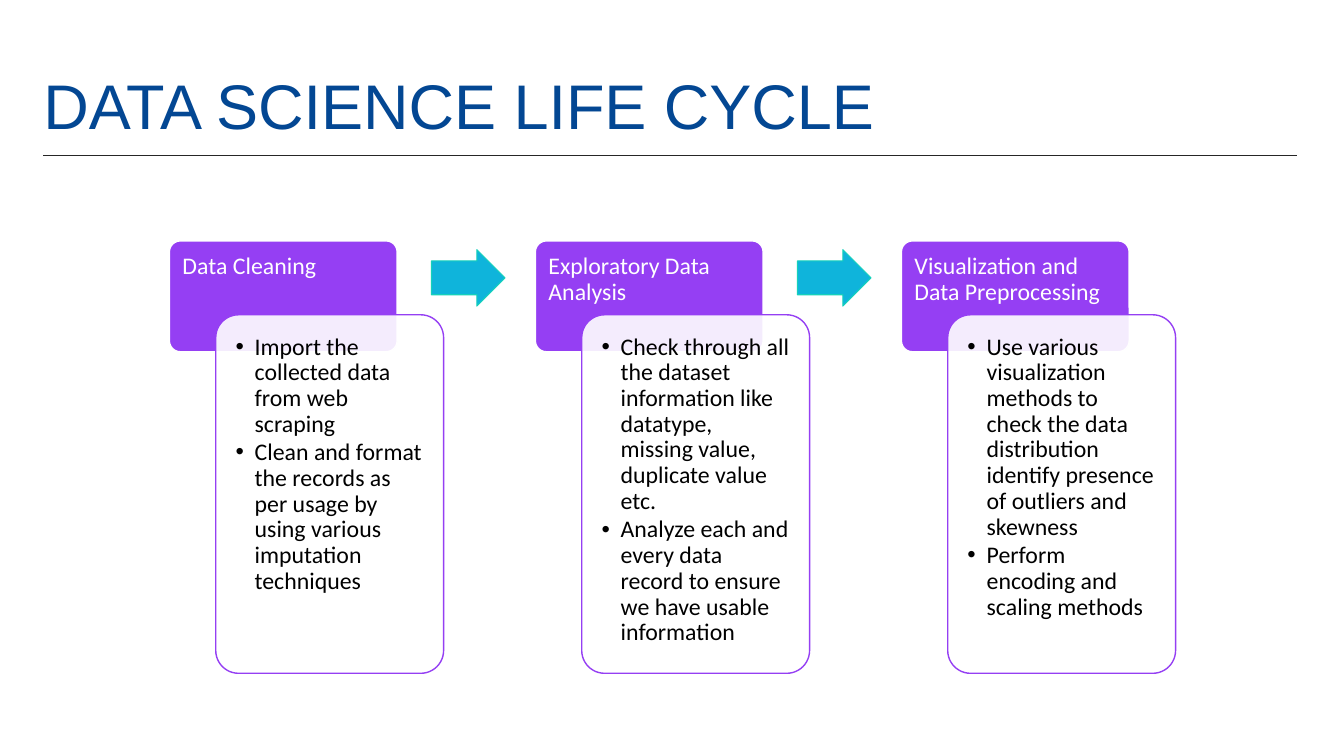
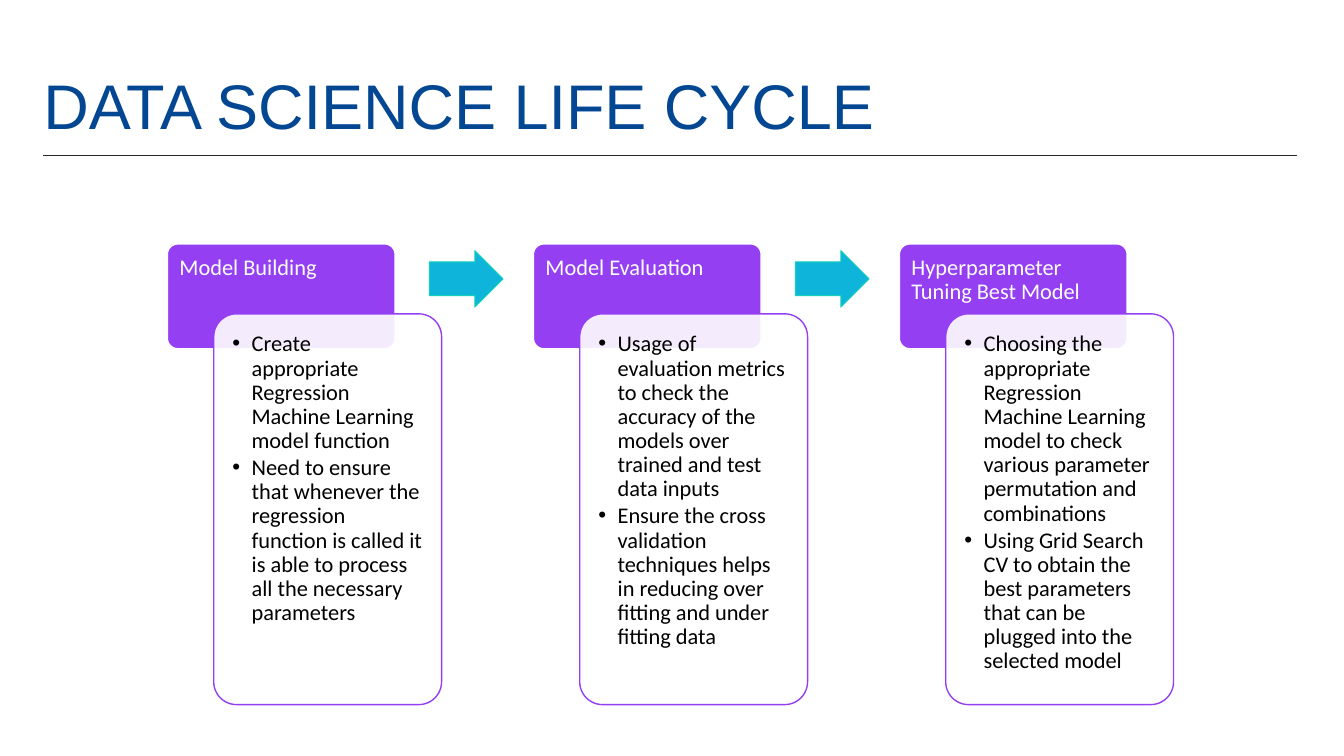
from dataclasses import dataclass

from lxml import etree
from pptx import Presentation
from pptx.dml import color
from pptx.enum import shapes, text
from pptx.oxml import ns
from pptx.util import Inches, Pt


@dataclass(frozen=True)
class Theme:
    title_color: str = "034793"
    rule_color: str = "262626"
    purple: str = "953FF3"
    arrow_fill: str = "0FB4DB"
    arrow_line: str = "15D1BB"
    white: str = "FFFFFF"
    black: str = "000000"
    title_font: str = "Arial"
    body_font: str = "Calibri"
    title_size: float = 45
    line_spacing: float = 0.9


@dataclass(frozen=True)
class Box:
    left: float
    top: float
    width: float
    height: float

    def lengths(self):
        return [Inches(n) for n in (self.left, self.top, self.width, self.height)]


THEME = Theme()
TITLE_BOX = Box(0.43, 0.37, 12.43, 1.1)
RULE_TOP = 1.54
STAGE_WIDTH = 2.72
HEADER_WIDTH = 2.26
ARROW_OFFSET = 2.6
ARROW_WIDTH, ARROW_HEIGHT = 0.73, 0.56
CORNER = 0.1
BULLET_INDENT = 0.19

TITLE = "DATA SCIENCE LIFE CYCLE"
SLIDES = [
    {
        "box": Box(1.68, 2.39, 9.98, 4.29),
        "header_height": 1.1,
        "size": 17,
        "inset": 0.13,
        "stages": [
            ("Data Cleaning", [
                "Import the collected data from web scraping",
                "Clean and format the records as per usage by using various imputation techniques",
            ]),
            ("Exploratory Data Analysis", [
                "Check through all the dataset information like datatype, missing value, "
                "duplicate value etc.",
                "Analyze each and every data record to ensure we have usable information",
            ]),
            ("Visualization and Data Preprocessing", [
                "Use various visualization methods to check the data distribution identify "
                "presence of outliers and skewness",
                "Perform encoding and scaling methods",
            ]),
        ],
    },
    {
        "box": Box(1.66, 2.42, 9.98, 4.57),
        "header_height": 1.04,
        "size": 16,
        "inset": 0.12,
        "stages": [
            ("Model Building", [
                "Create appropriate Regression Machine Learning model function",
                "Need to ensure that whenever the regression function is called it is able "
                "to process all the necessary parameters",
            ]),
            ("Model Evaluation", [
                "Usage of evaluation metrics to check the accuracy of the models over "
                "trained and test data inputs",
                "Ensure the cross validation techniques helps in reducing over fitting and "
                "under fitting data",
            ]),
            ("Hyperparameter Tuning Best Model", [
                "Choosing the appropriate Regression Machine Learning model to check "
                "various parameter permutation and combinations",
                "Using Grid Search CV to obtain the best parameters that can be plugged "
                "into the selected model",
            ]),
        ],
    },
]


def apply(target, values):
    for name, value in values.items():
        setattr(target, name, value)


def rgb(value):
    return color.RGBColor.from_string(value)


def write_text(frame, lines, font, size, ink, insets, anchor, bulleted=False):
    left, top, right, bottom = (Inches(n) for n in insets)
    apply(frame, {
        "word_wrap": True, "auto_size": text.MSO_AUTO_SIZE.NONE,
        "vertical_anchor": anchor, "margin_left": left, "margin_top": top,
        "margin_right": right, "margin_bottom": bottom,
    })
    for index, line in enumerate(lines):
        para = frame.paragraphs[0] if index == 0 else frame.add_paragraph()
        apply(para, {
            "alignment": text.PP_ALIGN.LEFT, "line_spacing": THEME.line_spacing,
            "space_before": Pt(0), "space_after": Pt(2),
        })
        span = para.add_run()
        span.text = line
        apply(span.font, {"name": font, "size": Pt(size)})
        span.font.color.rgb = rgb(ink)
        if bulleted:
            add_bullet(para)


def add_bullet(para):
    properties = para._p.get_or_add_pPr()
    indent = Inches(BULLET_INDENT)
    properties.set("marL", str(indent))
    properties.set("indent", str(-indent))
    etree.SubElement(properties, ns.qn("a:buFont")).set("typeface", "Arial")
    etree.SubElement(properties, ns.qn("a:buChar")).set("char", "•")


def add_block(page, kind, box, adjustments, fill, line, line_width):
    block = page.shapes.add_shape(kind, *box.lengths())
    block.shadow.inherit = False
    block.fill.solid()
    block.fill.fore_color.rgb = rgb(fill)
    block.line.color.rgb = rgb(line)
    block.line.width = Pt(line_width)
    for index, value in enumerate(adjustments):
        block.adjustments[index] = value
    return block


def set_opacity(block, percent):
    tint = block.element.spPr.find(ns.qn("a:solidFill")).find(ns.qn("a:srgbClr"))
    etree.SubElement(tint, ns.qn("a:alpha")).set("val", str(percent * 1000))


def add_layout_rule(layout, page):
    right = TITLE_BOX.left + TITLE_BOX.width
    rule = page.shapes.add_connector(
        shapes.MSO_CONNECTOR.STRAIGHT,
        Inches(TITLE_BOX.left), Inches(RULE_TOP), Inches(right), Inches(RULE_TOP))
    rule.line.color.rgb = rgb(THEME.rule_color)
    rule.line.width = Pt(1)
    etree.SubElement(rule.element.spPr, ns.qn("a:effectLst"))
    layout.shapes.element.append(rule.element)


def add_title(page):
    title = page.shapes.title
    apply(title, dict(zip(("left", "top", "width", "height"), TITLE_BOX.lengths())))
    write_text(title.text_frame, [TITLE], THEME.title_font, THEME.title_size,
               THEME.title_color, (0, 0.05, 0, 0.05), text.MSO_ANCHOR.BOTTOM)


def add_stage(page, box, heading, points, header_height, size, inset):
    rounded = shapes.MSO_SHAPE.ROUNDED_RECTANGLE
    step = header_height * 2 / 3
    shift = box.width - HEADER_WIDTH
    header = add_block(page, rounded, Box(box.left, box.top, HEADER_WIDTH, header_height),
                       [CORNER], THEME.purple, THEME.white, 1)
    header_inset = inset - 0.03
    write_text(header.text_frame, [heading], THEME.body_font, size, THEME.white,
               [header_inset] * 4, text.MSO_ANCHOR.TOP)
    card = add_block(page, rounded,
                     Box(box.left + shift, box.top + step, HEADER_WIDTH, box.height - step),
                     [CORNER], THEME.white, THEME.purple, 1)
    set_opacity(card, 90)
    write_text(card.text_frame, points, THEME.body_font, size, THEME.black,
               [inset] * 4, text.MSO_ANCHOR.TOP, bulleted=True)


def add_process(page, box, stages, header_height, size, inset):
    pitch = (box.width - STAGE_WIDTH) / (len(stages) - 1)
    arrow_top = box.top + header_height / 3 - ARROW_HEIGHT / 2
    for index, (heading, points) in enumerate(stages):
        left = box.left + index * pitch
        add_stage(page, Box(left, box.top, STAGE_WIDTH, box.height),
                  heading, points, header_height, size, inset)
        if index < len(stages) - 1:
            add_block(page, shapes.MSO_SHAPE.RIGHT_ARROW,
                      Box(left + ARROW_OFFSET, arrow_top, ARROW_WIDTH, ARROW_HEIGHT),
                      [0.6, 0.5], THEME.arrow_fill, THEME.arrow_line, 0.75)


def main():
    deck = Presentation()
    apply(deck, {"slide_width": Inches(13.33), "slide_height": Inches(7.5)})
    layout = deck.slide_layouts.get_by_name("Title Only")
    for index, content in enumerate(SLIDES):
        page = deck.slides.add_slide(layout)
        if index == 0:
            add_layout_rule(layout, page)
        add_title(page)
        add_process(page, **content)
    deck.save("out.pptx")


if __name__ == "__main__":
    main()
